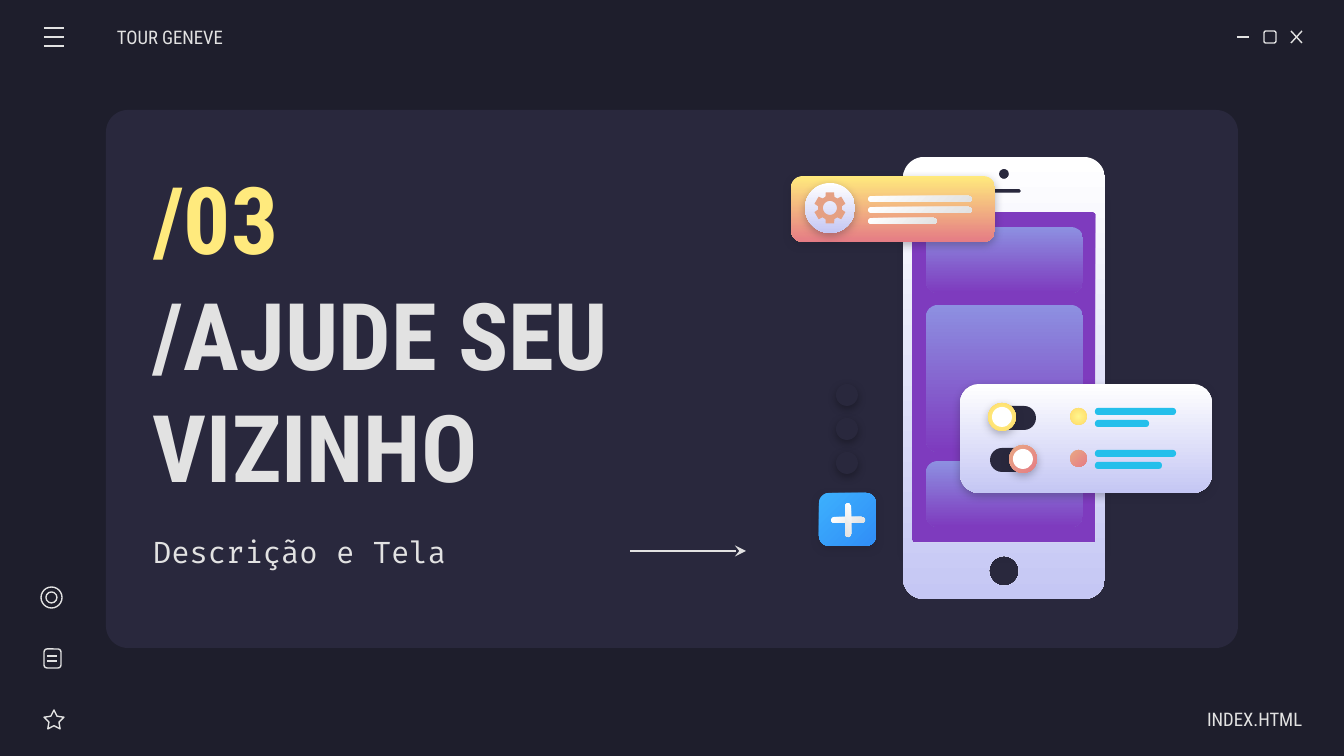
import math

import pptx
import pptx.dml.color
import pptx.enum.shapes
import pptx.enum.text
import pptx.oxml
import pptx.oxml.ns
import pptx.util

PX = 914400 / 134.4
RGB = pptx.dml.color.RGBColor.from_string
SHAPE = pptx.enum.shapes.MSO_SHAPE
ALIGN = pptx.enum.text.PP_ALIGN

NIGHT = RGB("1E1E2C")
PANEL = RGB("29283D")
LIGHT = RGB("E2E2E2")
YELLOW = RGB("FFEA7D")
PURPLE = RGB("7E3BBE")
WHITE = RGB("FFFFFF")
BLACK = RGB("000000")
CYAN = RGB("24BFEB")
GEAR = RGB("E5A083")
LAVENDER = RGB("C5C7F4")
# Gradients: first colour, last colour, angle (None is radial)
PEARL = (WHITE, LAVENDER, 90)
SILVER = (WHITE, LIGHT, 45)
VIOLET = (RGB("8D90E1"), PURPLE, 90)
SUNSET = (YELLOW, RGB("E57C85"), 90)
CORAL = (RGB("E9A984"), RGB("E57C85"), 45)
GOLD = (RGB("FFF68E"), RGB("FFD966"), None)
BLUE = (RGB("3DB0FD"), RGB("308EF7"), 45)

CONDENSED = "Roboto Condensed"
MONO = "Fira Code"
NAMESPACE = pptx.oxml.ns.nsdecls("a")


def px(length):
    return pptx.util.Emu(round(length * PX))


def paint(shape, fill=None, line=None, shadow=None):
    shape.shadow.inherit = False
    if fill is None:
        shape.fill.background()
    elif isinstance(fill, pptx.dml.color.RGBColor):
        shape.fill.solid()
        shape.fill.fore_color.rgb = fill
    else:
        first, last, angle = fill
        shape.fill.gradient()
        for stop, color in zip(shape.fill.gradient_stops, (first, last)):
            stop.color.rgb = color
        if angle is None:
            linear = shape._element.spPr.find(".//" + pptx.oxml.ns.qn("a:lin"))
            linear.getparent().replace(linear, pptx.oxml.parse_xml(
                f'<a:path {NAMESPACE} path="circle"><a:fillToRect l="50000" '
                't="50000" r="50000" b="50000"/></a:path>'))
        else:
            shape.fill.gradient_angle = 360 - angle
    if line is None:
        shape.line.fill.background()
    else:
        shape.line.color.rgb = line
        shape.line.width = pptx.util.Pt(0.75)
    if shadow is not None:
        effects = shape._element.spPr.find(pptx.oxml.ns.qn("a:effectLst"))
        effects.append(pptx.oxml.parse_xml(
            f'<a:outerShdw {NAMESPACE} blurRad="57150" dist="19050" '
            'dir="5400000" algn="bl" rotWithShape="0">'
            f'<a:srgbClr val="{shadow}"><a:alpha val="30000"/></a:srgbClr>'
            '</a:outerShdw>'))
    return shape


def add_preset(slide, kind, left, top, width, height, **style):
    shape = slide.shapes.add_shape(kind, px(left), px(top), px(width), px(height))
    return paint(shape, **style)


def add_rounded(slide, left, top, width, height, radius, **style):
    shape = add_preset(slide, SHAPE.ROUNDED_RECTANGLE, left, top, width, height, **style)
    shape.adjustments[0] = radius / min(width, height)
    return shape


def add_circle(slide, left, top, size, **style):
    return add_preset(slide, SHAPE.OVAL, left, top, size, size, **style)


def add_line(slide, x1, y1, x2, y2):
    line = slide.shapes.add_connector(
        pptx.enum.shapes.MSO_CONNECTOR.STRAIGHT, px(x1), px(y1), px(x2), px(y2))
    line.line.color.rgb = LIGHT
    line.line.width = pptx.util.Pt(0.75)
    line._element.spPr.append(pptx.oxml.parse_xml(f"<a:effectLst {NAMESPACE}/>"))
    return line


def add_text(slide, text, left, top, width, height, size, color=LIGHT, font=CONDENSED,
             bold=False, align=ALIGN.LEFT, insets=(13, 13)):
    frame = slide.shapes.add_textbox(px(left), px(top), px(width), px(height)).text_frame
    frame.word_wrap = True
    frame.vertical_anchor = pptx.enum.text.MSO_ANCHOR.MIDDLE
    frame.margin_left, frame.margin_right = map(px, insets)
    frame.margin_top = frame.margin_bottom = px(13)
    paragraph = frame.paragraphs[0]
    paragraph.text = text
    paragraph.alignment = align
    paragraph.font.name = font
    paragraph.font.size = pptx.util.Pt(size)
    paragraph.font.bold = bold
    paragraph.font.color.rgb = color


def polar(x, y, radius, degrees):
    angle = math.radians(degrees)
    return x + radius * math.cos(angle), y + radius * math.sin(angle)


def rounded_outline(left, top, width, height, radius):
    right, bottom = left + width - radius, top + height - radius
    corners = [(right, bottom), (left + radius, bottom),
               (left + radius, top + radius), (right, top + radius)]
    return [polar(x, y, radius, 90 * quarter + step)
            for quarter, (x, y) in enumerate(corners) for step in range(0, 91, 9)]


def add_outlines(slide, outlines, **style):
    """Draw the first outline with the others cut out of it."""
    scaled = [[(px(x), px(y)) for x, y in outline] for outline in outlines]
    builder = slide.shapes.build_freeform(*scaled[0][0])
    builder.add_line_segments(scaled[0][1:])
    for hole in scaled[1:]:
        builder.move_to(*hole[0])
        builder.add_line_segments(hole[1:])
    return paint(builder.convert_to_shape(), **style)


def draw_window_bar(slide, left, top, width):
    for row in range(3):
        add_line(slide, left, top - 9 + 9 * row, left + 20, top - 9 + 9 * row)
    add_text(slide, "TOUR GENEVE", left + 73, top - 20, 157, 40, 10, insets=(0, 13))
    right = left + width
    add_line(slide, right - 65, top, right - 53, top)
    add_rounded(slide, right - 38, top - 6, 12, 12, 2, line=LIGHT)
    for start, end in ((-6, 6), (6, -6)):
        add_line(slide, right - 11, top + start, right, top + end)


def draw_side_icons(slide, left, top):
    add_circle(slide, left, top, 21, line=LIGHT)
    add_circle(slide, left + 5, top + 5, 11, line=LIGHT)
    add_rounded(slide, left + 3, top + 62, 17, 19, 3, line=LIGHT)
    for y in (top + 69, top + 74):
        add_line(slide, left + 6, y, left + 16, y)
    star = add_preset(slide, SHAPE.STAR_5_POINT, left + 3, top + 123, 20, 19, line=LIGHT)
    star.adjustments[0] = 0.25


def draw_heading(slide, left, top):
    add_text(slide, "/AJUDE SEU VIZINHO", left, top + 124, 578, 220, 50, bold=True)
    add_text(slide, "/03", left, top, 239, 124, 50, color=YELLOW, bold=True)
    add_text(slide, "Descrição e Tela", left, top + 344, 536, 105, 16, font=MONO)
    arrow = add_line(slide, left + 490, top + 396, left + 606, top + 396)
    arrow._element.spPr.find(pptx.oxml.ns.qn("a:ln")).append(
        pptx.oxml.parse_xml(f'<a:tailEnd {NAMESPACE} type="stealth" w="med" len="med"/>'))


def draw_phone(slide, left, top, width, height):
    add_rounded(slide, left + 3, top + 41, width - 6, 353, 0, fill=PURPLE, shadow=NIGHT)
    for y, card_height in ((70, 66), (148, 147), (304, 66)):
        add_rounded(slide, left + 23, top + y, width - 45, card_height, 12, fill=VIOLET)
    middle = left + width / 2
    add_outlines(slide, [
        rounded_outline(left, top, width, height, 21),
        rounded_outline(middle - 5, top + 12, 10, 10, 5),
        rounded_outline(middle - 17, top + 32, 34, 4, 2),
        rounded_outline(left + 9, top + 55, width - 18, 331, 3),
        rounded_outline(middle - 15, top + 399, 30, 30, 15),
    ], fill=PEARL)


def draw_notification(slide, left, top, width, height):
    add_rounded(slide, left, top, width, height, 12, fill=SUNSET, shadow=NIGHT)
    add_circle(slide, left + 14, top + 7, 50, fill=PEARL, shadow=NIGHT)
    x, y = left + 39, top + 32
    teeth = [polar(x, y, radius, tooth + offset) for tooth in range(-90, 270, 60)
             for radius, offset in ((12, -22), (16, -15), (16, 15), (12, 22))]
    add_outlines(slide, [teeth, rounded_outline(x - 7, y - 7, 14, 14, 7)], fill=GEAR)
    for row, bar_width in enumerate((104, 104, 69)):
        add_rounded(slide, left + 77, top + 20 + 11 * row, bar_width, 6, 3, fill=SILVER)


def draw_settings(slide, left, top, width, height):
    add_rounded(slide, left, top, width, height, 19, fill=PEARL, shadow=NIGHT)
    rows = ((28, GOLD, 54), (49, CORAL, 67))
    for row, (knob, accent, bar_width) in enumerate(rows):
        y = top + 42 * row
        add_rounded(slide, left + 30, y + 22, 46, 24, 12, fill=PANEL)
        add_circle(slide, left + knob, y + 19, 28, fill=accent, shadow=NIGHT)
        add_circle(slide, left + knob + 4, y + 23, 20, fill=WHITE)
        add_circle(slide, left + 110, y + 24, 17, fill=accent)
        add_rounded(slide, left + 135, y + 24, 81, 7, 3, fill=CYAN)
        add_rounded(slide, left + 135, y + 36, bar_width, 7, 3, fill=CYAN)


def draw_add_button(slide, left, top, width, height):
    """Draw the plus button with the column of dots above it."""
    add_rounded(slide, left, top, width, height, 10, fill=BLUE, shadow=NIGHT)
    for rotation in (0, 90):
        bar = add_rounded(slide, left + 12, top + 24, 34, 6, 3, fill=SILVER)
        bar.rotation = rotation
    for row in range(3):
        add_circle(slide, left + 17, top - 41 - 34 * row, 22, fill=PANEL, shadow=BLACK)


def main():
    presentation = pptx.Presentation()
    presentation.slide_width, presentation.slide_height = px(1344), px(756)
    slide = presentation.slides.add_slide(presentation.slide_layouts[6])
    slide.background.fill.solid()
    slide.background.fill.fore_color.rgb = NIGHT
    add_rounded(slide, 106, 110, 1132, 538, 22, fill=PANEL)
    draw_window_bar(slide, 44, 37, 1258)
    draw_side_icons(slide, 41, 587)
    add_text(slide, "INDEX.HTML", 1145, 699, 157, 40, 10, align=ALIGN.RIGHT, insets=(13, 0))
    draw_heading(slide, 140, 155)
    draw_phone(slide, 903, 157, 202, 442)
    draw_notification(slide, 791, 176, 204, 66)
    draw_settings(slide, 960, 384, 252, 109)
    draw_add_button(slide, 819, 493, 57, 53)
    presentation.save("out.pptx")


if __name__ == "__main__":
    main()
